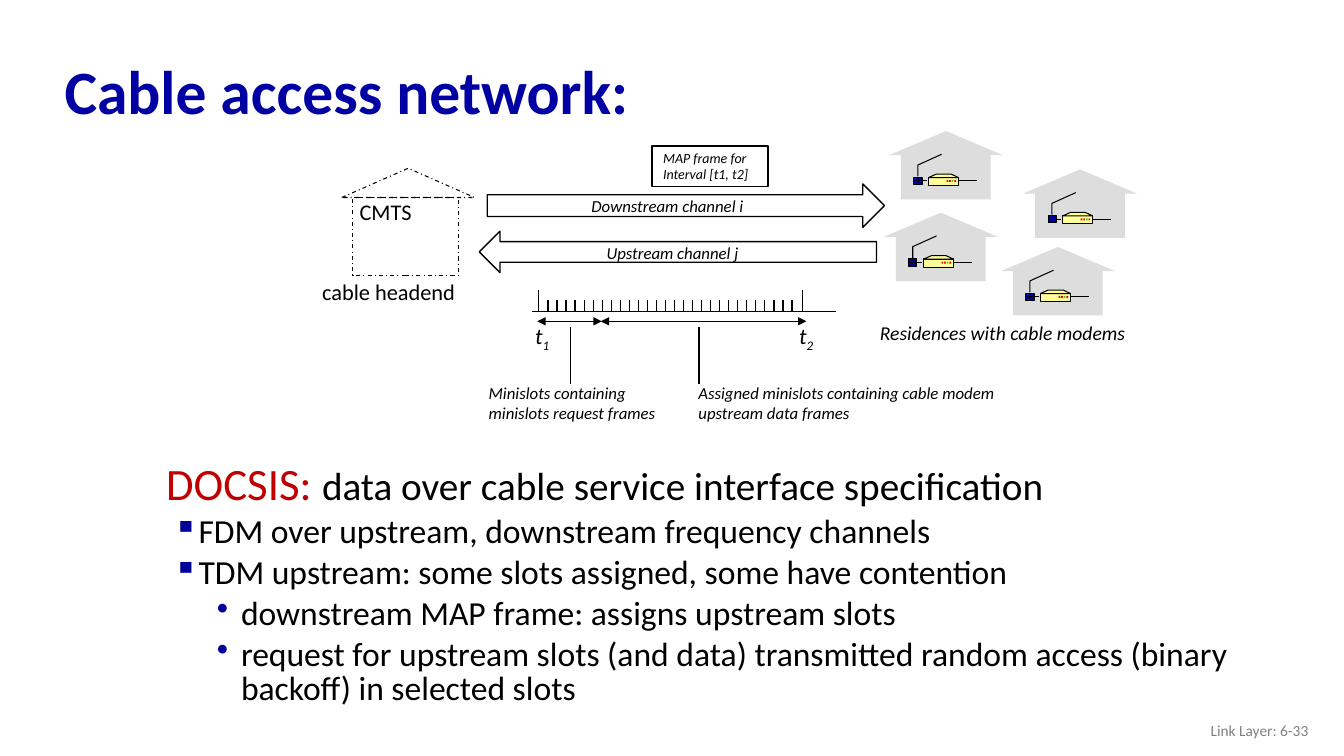
"""Build the cable access network slide."""
from dataclasses import dataclass

from lxml import etree
from pptx import Presentation
from pptx import util as u
from pptx.dml.color import RGBColor
from pptx.enum import dml, shapes, text
from pptx.oxml.ns import qn


@dataclass(frozen=True)
class Theme:
    """Fonts, colours and sizes of the slide."""
    font: str = "Calibri"
    title: str = "0000A3"
    accent: str = "C00000"
    navy: str = "000099"
    ink: str = "000000"
    footer: str = "808080"
    house: str = "DDDDDD"
    modem: str = "FFFF99"
    red: str = "FF0000"
    green: str = "33CC33"
    title_size: float = 44
    lead_size: float = 32
    definition_size: float = 28
    body_size: float = 24
    label_size: float = 16
    caption_size: float = 14
    note_size: float = 12
    footer_size: float = 11
    frame_size: float = 10
    thick: float = 1
    thin: float = 0.75


THEME = Theme()
AUTO = shapes.MSO_SHAPE


def set_font(font, size, color=THEME.ink, bold=None, italic=None):
    """Apply the slide font with a size and colour."""
    font.name, font.size = THEME.font, u.Pt(size)
    font.bold, font.italic = bold, italic
    font.color.rgb = RGBColor.from_string(color)


def paint(shape, fill, line, dash=None):
    """Set fill and outline; None means absent."""
    shape.shadow.inherit = False
    if fill:
        shape.fill.solid()
        shape.fill.fore_color.rgb = RGBColor.from_string(fill)
    else:
        shape.fill.background()
    if line:
        shape.line.color.rgb = RGBColor.from_string(THEME.ink)
        shape.line.width = u.Pt(line)
        shape.line.dash_style = dash
    else:
        shape.line.fill.background()


def add_preset(parent, kind, box, fill=None, line=None, dash=None):
    """Add a preset shape at left, top, width, height."""
    shape = parent.add_shape(kind, *map(u.Pt, box))
    paint(shape, fill, line, dash)


def add_outline(parent, points, fill=None, close=False):
    """Add a thin-lined polygon or polyline."""
    start, *rest = [(u.Pt(x), u.Pt(y)) for x, y in points]
    builder = parent.build_freeform(*start)
    builder.add_line_segments(rest, close=close)
    paint(builder.convert_to_shape(), fill, THEME.thin)


def add_line(parent, ends, width=THEME.thin, arrows=False):
    """Add a straight line, optionally with arrowheads at both ends."""
    line = parent.add_connector(shapes.MSO_CONNECTOR.STRAIGHT, *map(u.Pt, ends))
    line.line.color.rgb = RGBColor.from_string(THEME.ink)
    line.line.width = u.Pt(width)
    if arrows:
        for end in ("a:headEnd", "a:tailEnd"):
            etree.SubElement(line.line._get_or_add_ln(), qn(end), type="triangle")
    etree.SubElement(line._element.spPr, qn("a:effectLst"))


def add_label(parent, box, lines, size, italic=True, wrap=False, align=None,
              spacing=None, color=THEME.ink, subscript=None):
    """Add a text box with one paragraph per line."""
    frame = parent.add_textbox(*map(u.Pt, box)).text_frame
    frame.word_wrap = wrap
    frame.auto_size = text.MSO_AUTO_SIZE.SHAPE_TO_FIT_TEXT
    for index, line in enumerate(lines):
        paragraph = frame.add_paragraph() if index else frame.paragraphs[0]
        paragraph.add_run().text = line
        paragraph.alignment = align
        paragraph.line_spacing = spacing
        set_font(paragraph.font, size, color, italic=italic)
    if subscript:
        run = paragraph.add_run()
        run.text = subscript
        run._r.get_or_add_rPr().set("baseline", "-25000")


def add_title(slide, words):
    """Place and format the title placeholder."""
    title = slide.shapes.title
    title.left, title.top, title.width, title.height = map(u.Pt, (38.9, 32.4, 909.4, 70.6))
    frame = title.text_frame
    frame.text = words
    frame.auto_size = text.MSO_AUTO_SIZE.NONE
    frame.vertical_anchor = text.MSO_ANCHOR.MIDDLE
    paragraph = frame.paragraphs[0]
    paragraph.alignment = text.PP_ALIGN.LEFT
    paragraph.line_spacing = 0.9
    set_font(paragraph.font, THEME.title_size, THEME.title, bold=True)


def indent(paragraph, margin, hanging):
    """Set left margin and hanging indent in points."""
    properties = paragraph._p.get_or_add_pPr()
    properties.set("marL", str(u.Pt(margin)))
    properties.set("indent", str(-u.Pt(hanging)))
    return properties


def add_bullet(frame, level, words):
    """Append a bulleted paragraph."""
    paragraph = frame.add_paragraph()
    paragraph.text, paragraph.level = words, level
    properties = indent(paragraph, (22.5, 53.5)[level], 17.3)
    color = etree.SubElement(properties, qn("a:buClr"))
    etree.SubElement(color, qn("a:srgbClr"), val=THEME.navy)
    etree.SubElement(properties, qn("a:buChar"), char="▪•"[level])
    paragraph.line_spacing = 0.85
    paragraph.space_before = u.Pt(4.8)
    set_font(paragraph.font, THEME.body_size)


def add_body(slide):
    """Add the DOCSIS definition and its bullets."""
    frame = slide.shapes.add_textbox(*map(u.Pt, (111.6, 327.6, 782.6, 180))).text_frame
    frame.word_wrap = True
    lead = frame.paragraphs[0]
    indent(lead, 27, 27)
    lead.line_spacing = 0.85
    for words, size, color in (
            ("DOCSIS: ", THEME.lead_size, THEME.accent),
            ("data over cable service interface specification", THEME.definition_size, THEME.ink)):
        run = lead.add_run()
        run.text = words
        set_font(run.font, size, color)
    for level, words in (
            (0, "FDM over upstream, downstream frequency channels"),
            (0, "TDM upstream: some slots assigned, some have contention"),
            (1, "downstream MAP frame: assigns upstream slots"),
            (1, "request for upstream slots (and data) transmitted random access "
                "(binary backoff) in selected slots")):
        add_bullet(frame, level, words)


def add_house(slide, x, y):
    """Add a residence with its computer and cable modem."""
    parent = slide.shapes.add_group_shape().shapes
    add_preset(parent, AUTO.ISOSCELES_TRIANGLE, (x, y, 81.4, 17.3), THEME.house)
    add_preset(parent, AUTO.RECTANGLE, (x + 8.6, y + 15.1, 64.1, 33.8), THEME.house)
    add_line(parent, (x + 62.6, y + 35.5, x + 49.2, y + 35.5))
    add_preset(parent, AUTO.RECTANGLE, (x + 28.1, y + 33.1, 21.6, 5.8), THEME.modem, THEME.thin)
    for index, color in enumerate((THEME.red, THEME.red, THEME.green, THEME.red)):
        add_preset(parent, AUTO.RECTANGLE, (x + 41.2 + 1.85 * index, y + 35, 1.2, 1.4), color)
    roof = ((49.7, 33.3), (44.6, 30.8), (33.8, 30.8), (28.2, 33.3))
    add_outline(parent, [(x + a, y + b) for a, b in roof], THEME.modem, close=True)
    add_preset(parent, AUTO.RECTANGLE, (x + 17.8, y + 33, 5.8, 5.2), THEME.navy, THEME.thin)
    antenna = ((20.6, 32.4), (20.6, 24.3), (37.6, 16.6))
    add_outline(parent, [(x + a, y + b) for a, b in antenna])
    add_line(parent, (x + 18.5, y + 35.6, x + 27.1, y + 35.6))


def add_headend(slide):
    """Add the dashed cable headend building."""
    parent, dash = slide.shapes, dml.MSO_LINE.DASH_DOT
    add_preset(parent, AUTO.RECTANGLE, (252, 141.1, 75.6, 55.4), line=THEME.thin, dash=dash)
    add_preset(parent, AUTO.ISOSCELES_TRIANGLE, (244.1, 120.2, 95, 20.9), line=THEME.thin, dash=dash)
    add_label(parent, (201.6, 198.7, 151.9, 23), ["cable headend"], THEME.label_size,
              italic=None, wrap=True, align=text.PP_ALIGN.CENTER, spacing=0.8)
    add_label(parent, (249.8, 138.2, 74.9, 26.6), ["CMTS"], THEME.label_size, italic=None, wrap=True)


def add_channels(slide):
    """Add the two channel arrows and the MAP frame."""
    parent = slide.shapes
    add_preset(parent, AUTO.RIGHT_ARROW, (348.1, 131.4, 283.7, 31), line=THEME.thick)
    add_preset(parent, AUTO.LEFT_ARROW, (342.4, 165.2, 283.7, 29.5), line=THEME.thick)
    add_label(parent, (415.4, 136.1, 124.6, 21.6), ["Downstream channel i"], THEME.note_size)
    add_label(parent, (426.2, 169.9, 110.2, 21.6), ["Upstream channel j"], THEME.note_size)
    add_preset(parent, AUTO.RECTANGLE, (465.8, 104.4, 82.8, 28.8), line=THEME.thick)
    add_label(parent, (466.6, 103, 76.3, 31.7), ["MAP frame for", "Interval [t1, t2]"],
              THEME.frame_size, spacing=u.Pt(12))


def add_timeline(slide):
    """Add the minislot ruler with its spans and notes."""
    parent, base, first, last = slide.shapes, 222.7, 384.5, 573.1
    add_line(parent, (380.2, base, 596.9, base), THEME.thick)
    for x in (first, last):
        add_line(parent, (x, 207.4, x, base), THEME.thick)
    for index in range(28):
        x = 391.5 + 6.45 * index
        add_line(parent, (x, 214.4, x, base), THEME.thick)
    for x, number in ((375.1, "1"), (563.8, "2")):
        add_label(parent, (x, 226.6, 25.2, 26.6), ["t"], THEME.label_size, subscript=number)
    for start, end in ((383.8, 429.8), (429.1, 576)):
        add_line(parent, (start, 229.5, end, 229.5), arrows=True)
    for x in (407.2, 499.3):
        add_line(parent, (x, 233.6, x, 274))
    add_label(parent, (491.8, 270, 228.2, 36),
              ["Assigned minislots containing cable modem", "upstream data frames"], THEME.note_size)
    add_label(parent, (342, 270, 134.6, 36),
              ["Minislots containing", "minislots request frames"], THEME.note_size)


def main():
    """Build and save the slide."""
    presentation = Presentation()
    presentation.slide_width, presentation.slide_height = u.Pt(960), u.Pt(540)
    slide = presentation.slides.add_slide(presentation.slide_layouts[5])
    add_title(slide, "Cable access network:")
    add_label(slide.shapes, (725.8, 511.2, 216, 21), ["Link Layer: 6-33"], THEME.footer_size,
              italic=None, wrap=True, align=text.PP_ALIGN.RIGHT, color=THEME.footer)
    add_body(slide)
    add_label(slide.shapes, (621.4, 225.4, 192.2, 24.5), ["Residences with cable modems"],
              THEME.caption_size)
    add_channels(slide)
    add_timeline(slide)
    add_headend(slide)
    for x, y in ((635, 93.6), (730.8, 121), (715, 176.4), (631.4, 151.9)):
        add_house(slide, x, y)
    presentation.save("out.pptx")


if __name__ == "__main__":
    main()
